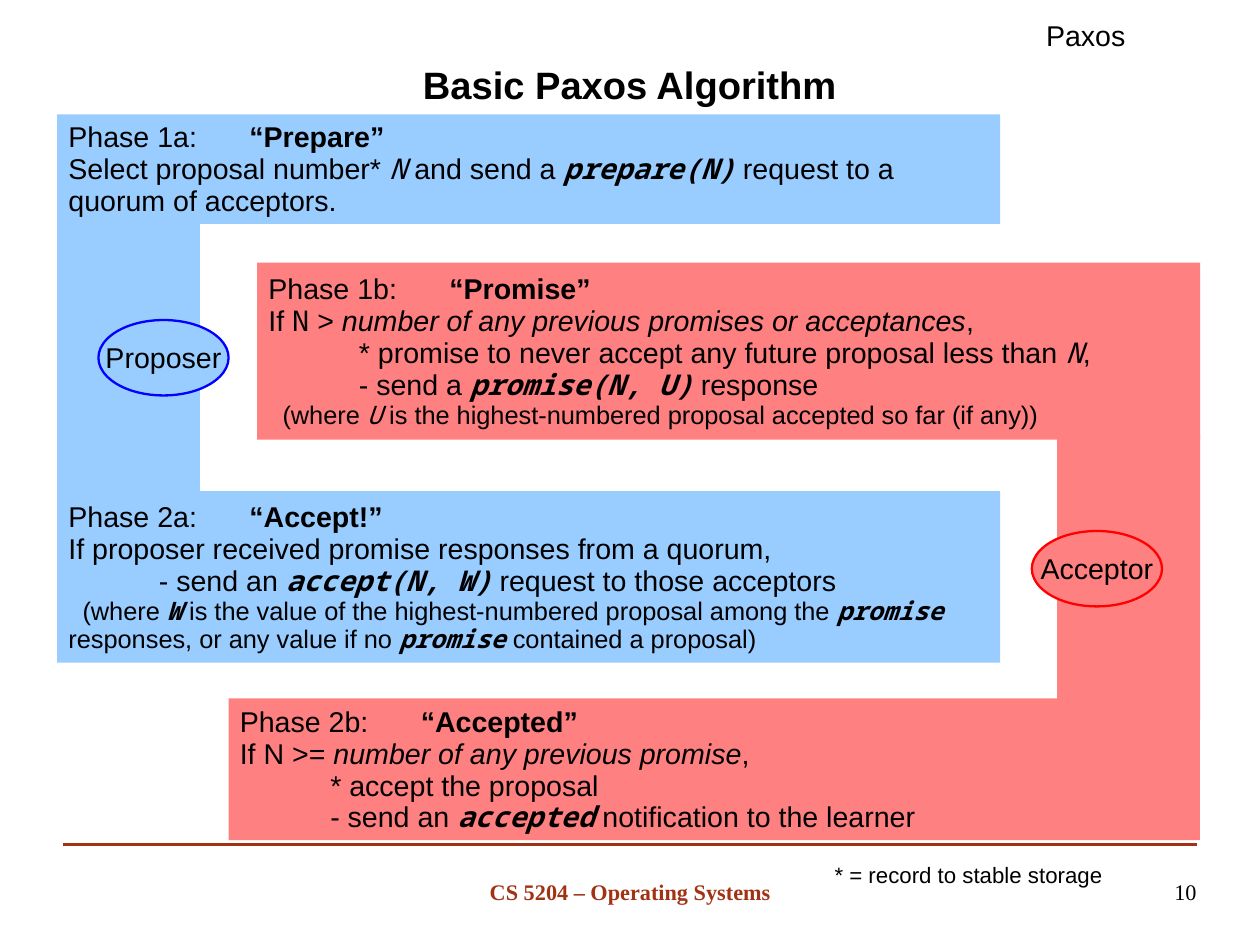
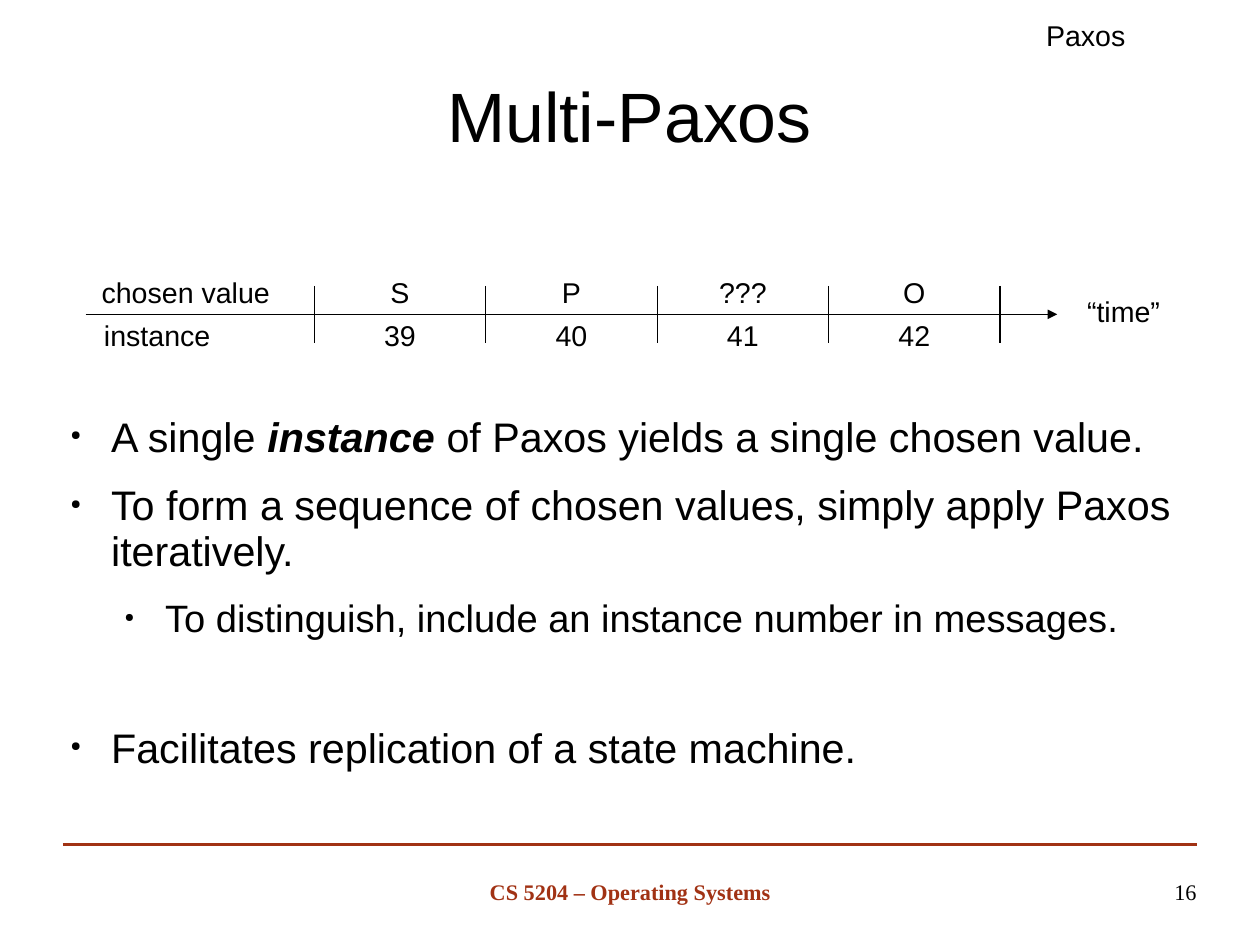
from lxml.etree import SubElement
from pptx import Presentation
from pptx.dml.color import RGBColor
from pptx.enum.shapes import MSO_CONNECTOR as Connector, MSO_SHAPE as Shape
from pptx.enum.text import MSO_ANCHOR as Anchor, PP_ALIGN as Align
from pptx.oxml.ns import qn
from pptx.util import Pt

COLORS = {
    "ink": "000000",
    "brick": "A13214",
    "proposer": "99CCFF",
    "proposer_edge": "0000FF",
    "acceptor": "FF8080",
    "acceptor_edge": "FF0000",
}
SANS, SERIF, MONO = "Arial", "Times New Roman", "Noto Sans Mono"
TAB_STEP = 57
PADDING = (7.2, 5, 7.2, 3.6)


def rgb(name):
    return RGBColor.from_string(COLORS[name])


def code(text):
    return text, "bim"


def variable(text):
    return text, "im"


def write(frame, *runs, size=18, font=SANS, color="ink", bold=False, align=Align.LEFT,
          left=0, first=0, after=0, bullet=False, tabs=False):
    """Add a paragraph; a run is a string or (text, marks): b bold, i italic, m mono."""
    paragraph = frame.paragraphs[0]
    if paragraph.runs:
        paragraph = frame.add_paragraph()
    paragraph.alignment = align
    paragraph.line_spacing = 0.93
    paragraph.space_after = Pt(after)
    props = paragraph._p.get_or_add_pPr()
    # An explicit indent resets the tab stops, so set it only where needed
    if left or first:
        props.set("marL", str(Pt(left)))
        props.set("indent", str(Pt(first)))
    if bullet:
        SubElement(props, qn("a:buSzPct"), val="32000")
        SubElement(props, qn("a:buChar"), char="●")
    if tabs:
        stops = SubElement(props, qn("a:tabLst"))
        for stop in range(8):
            SubElement(stops, qn("a:tab"), pos=str(Pt(stop * TAB_STEP)), algn="l")
    for piece in runs:
        text, marks = (piece, "") if isinstance(piece, str) else piece
        run = paragraph.add_run()
        run.text = text
        run.font.size = Pt(size)
        run.font.name = MONO if "m" in marks else font
        run.font.bold = bold or "b" in marks
        run.font.italic = "i" in marks
        run.font.color.rgb = rgb(color)


class Deck:
    """Shared style and the slide being built."""

    def __init__(self):
        self.file = Presentation()
        self.file.slide_width, self.file.slide_height = Pt(793.75), Pt(595.25)
        self.slide = None

    def new_slide(self, number):
        self.slide = self.file.slides.add_slide(self.file.slide_layouts[6])
        self.label("Paxos", 612, 8.6, 144, 27.4)
        self.line(39.6, 532, 753.8, 532, "brick", 1.45)
        footer = dict(size=14, font=SERIF, padding=(0, 0, 0, 0))
        self.label("CS 5204 – Operating Systems", 271.4, 542, 251.3, 41,
                   color="brick", bold=True, **footer)
        self.label(str(number), 568.8, 542, 185, 41, align=Align.RIGHT, **footer)

    def setup(self, frame, padding=PADDING, wrap=True, anchor=Anchor.MIDDLE):
        frame.word_wrap = wrap
        frame.vertical_anchor = anchor
        (frame.margin_left, frame.margin_top,
         frame.margin_right, frame.margin_bottom) = map(Pt, padding)
        return frame

    def text_box(self, x, y, w, h, **layout):
        box = self.slide.shapes.add_textbox(Pt(x), Pt(y), Pt(w), Pt(h))
        return self.setup(box.text_frame, **layout)

    def label(self, text, x, y, w, h, padding=PADDING, wrap=True, align=Align.CENTER, **style):
        write(self.text_box(x, y, w, h, padding=padding, wrap=wrap), text, align=align, **style)

    def title(self, text, y, h, size, bold=False):
        self.label(text, 39.6, y, 714.2, h, padding=(0, size / 16, 0, 0), size=size, bold=bold)

    def line(self, x1, y1, x2, y2, color="ink", width=0.75, arrow=False):
        line = self.slide.shapes.add_connector(
            Connector.STRAIGHT, Pt(x1), Pt(y1), Pt(x2), Pt(y2))
        line.line.color.rgb = rgb(color)
        line.line.width = Pt(width)
        if arrow:
            SubElement(line.line._get_or_add_ln(), qn("a:tailEnd"), type="triangle")
        SubElement(line._element.spPr, qn("a:effectLst"))

    def shape(self, kind, x, y, w, h, fill, edge=None):
        shape = self.slide.shapes.add_shape(kind, Pt(x), Pt(y), Pt(w), Pt(h))
        shape.shadow.inherit = False
        shape.fill.solid()
        shape.fill.fore_color.rgb = rgb(fill)
        if edge:
            shape.line.color.rgb = rgb(edge)
            shape.line.width = Pt(1.45)
        else:
            shape.line.fill.background()
        return shape.text_frame

    def phase(self, step, name, role, x, y, w, h, lines, note=()):
        frame = self.setup(self.shape(Shape.RECTANGLE, x, y, w, h, role))
        write(frame, f"Phase {step}:\t", (f"“{name}”", "b"), tabs=True)
        for runs in lines:
            write(frame, *runs, tabs=True)
        if note:
            write(frame, *note, size=16, first=8.9)

    def role(self, name, x, y):
        key = name.lower()
        frame = self.shape(Shape.OVAL, x, y, 82, 47.5, key, key + "_edge")
        self.setup(frame, padding=(8, 5.8, 8, 4.3), wrap=False)
        write(frame, name, align=Align.CENTER)


def basic_paxos(deck):
    deck.new_slide(10)

    # Proposer column and phases
    deck.shape(Shape.RECTANGLE, 36, 129.6, 90, 180, "proposer")
    deck.phase("1a", "Prepare", "proposer", 36, 72, 594, 69.1, [
        ("Select proposal number* ", variable("N"), " and send a ", code("prepare(N)"),
         " request to a quorum of acceptors."),
    ])
    deck.phase("1b", "Promise", "acceptor", 162, 165.4, 594, 111.6, [
        ("If ", ("N", "m"), " > ",
         ("number of any previous promises or acceptances", "i"), ","),
        ("\t* promise to never accept any future proposal less than ", variable("N"), ","),
        ("\t- send a ", code("promise(N, U)"), " response"),
    ], note=("(where ", variable("U"),
             " is the highest-numbered proposal accepted so far (if any))"))
    deck.phase("2a", "Accept!", "proposer", 36, 309.4, 594, 108, [
        ("If proposer received promise responses from a quorum,",),
        ("\t- send an ", code("accept(N, W)"), " request to those acceptors"),
    ], note=("(where ", code("W"), " is the value of the highest-numbered proposal among the ",
             code("promise"), " responses, or any value if no ", code("promise"),
             " contained a proposal)"))

    # Acceptor column and last phase
    deck.shape(Shape.RECTANGLE, 666, 273.6, 90, 180, "acceptor")
    deck.phase("2b", "Accepted", "acceptor", 144, 440, 612, 89.3, [
        ("If N >= ", ("number of any previous promise", "i"), ","),
        ("\t* accept the proposal",),
        ("\t- send an ", code("accepted"), " notification to the learner"),
    ])

    # Roles, title and footnote
    deck.role("Acceptor", 650, 334.5)
    deck.role("Proposer", 62, 201.6)
    deck.title("Basic Paxos Algorithm", 35.8, 36, size=24, bold=True)
    deck.label("* = record to stable storage", 518.4, 539.7, 183.6, 23, wrap=False, size=14)


def multi_paxos(deck):
    deck.new_slide(16)
    deck.title("Multi-Paxos", 23.8, 99.4, size=44)

    # Timeline: chosen values above the axis, instances below
    axis, start, step, row = 198, 198, 108, 27
    deck.line(54, axis, 666, axis, arrow=True)
    deck.label("“time”", 671.8, 182.7, 72, row)
    deck.label("chosen value", 54, axis - row, 126, row)
    deck.label("instance", 54, axis, 90, row)
    chosen = ["S", "P", "???", "O"]
    for index, value in enumerate(chosen):
        x = start + index * step
        deck.label(value, x, axis - row, step, row)
        deck.label(str(39 + index), x, axis, step, row)
    for index in range(len(chosen) + 1):
        x = start + index * step
        deck.line(x, axis - 18, x, axis + 18)

    # Bullets
    points = deck.text_box(36, 259.6, 714.2, 262, padding=(0, 2, 0, 0), anchor=Anchor.TOP)
    main_point = dict(size=26, left=34, first=-25.5, after=14.3, bullet=True)
    sub_point = dict(main_point, size=24, left=68, after=53.5)
    write(points, "A single ", ("instance", "bi"),
          " of Paxos yields a single chosen value.", **main_point)
    write(points, "To form a sequence of chosen values, simply apply Paxos iteratively.",
          **main_point)
    write(points, "To distinguish, include an instance number in messages.", **sub_point)
    write(points, "Facilitates replication of a state machine.", **main_point)


def main():
    deck = Deck()
    basic_paxos(deck)
    multi_paxos(deck)
    deck.file.save("out.pptx")


if __name__ == "__main__":
    main()
